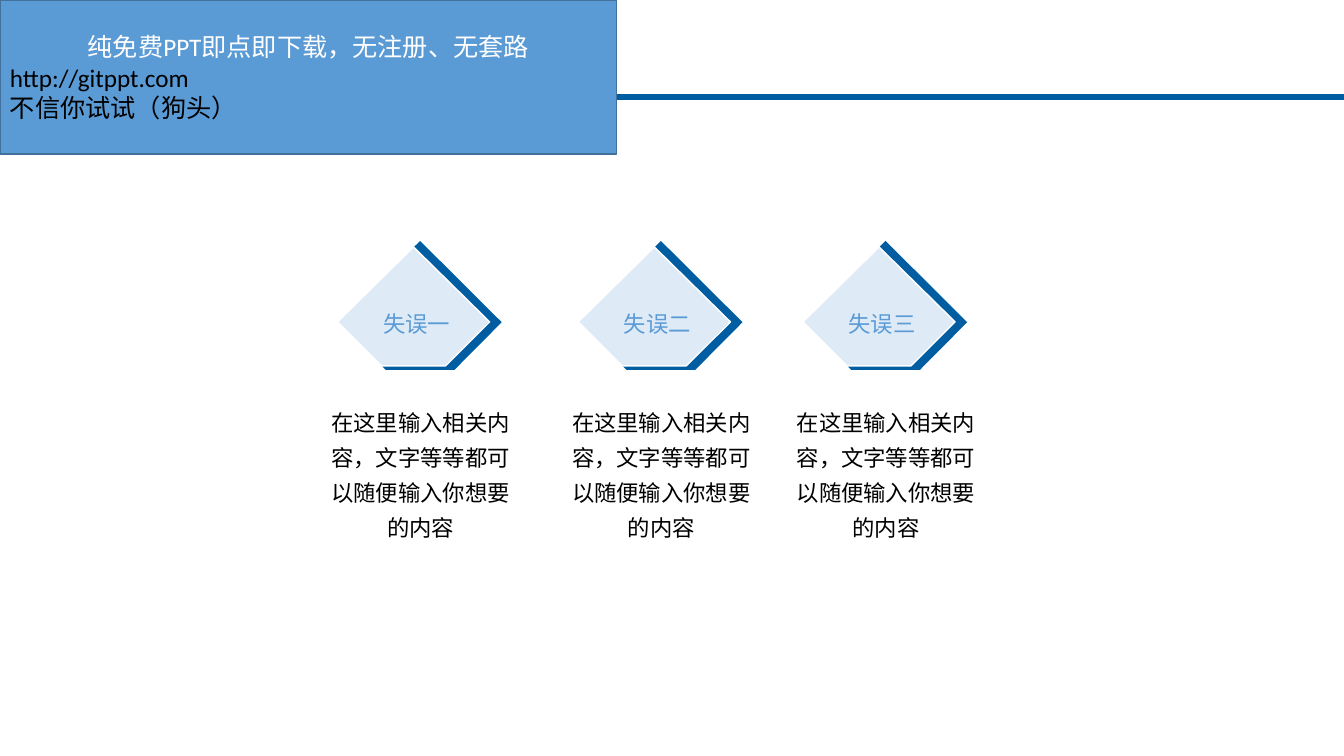
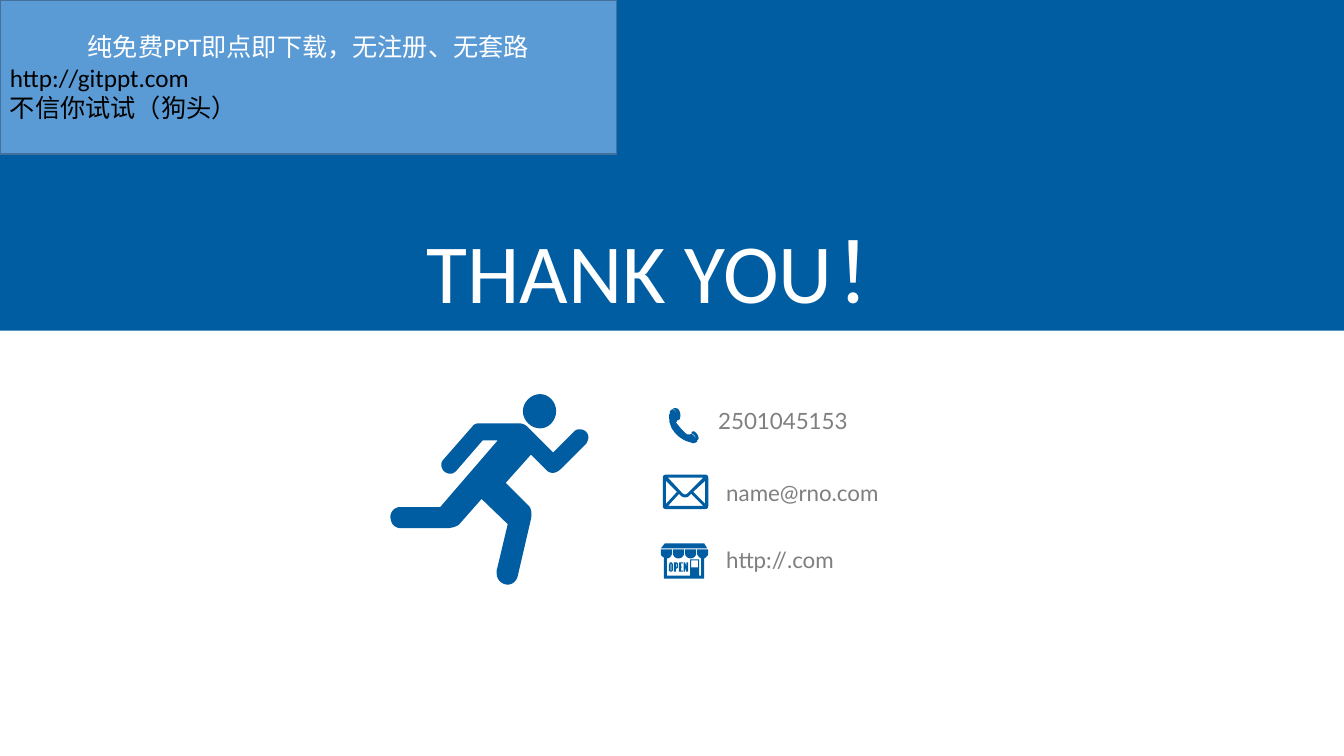
from lxml.etree import SubElement
from pptx import Presentation
from pptx.dml.color import RGBColor
from pptx.enum.shapes import MSO_CONNECTOR as Connector, MSO_SHAPE as Shape
from pptx.enum.text import MSO_ANCHOR as Anchor, MSO_AUTO_SIZE as AutoSize, PP_ALIGN as Align
from pptx.oxml.ns import qn
from pptx.util import Inches, Pt

WIDTH, HEIGHT = 13.34, 7.5
BLUE, SKY, PALE, EDGE = "005DA2", "5B9BD5", "DEEBF7", "41719C"
WHITE, BLACK, GREY = "FFFFFF", "000000", "7F7F7F"
EAST_ASIAN_FONT = "Noto Sans CJK SC"

LABEL = {"name": EAST_ASIAN_FONT, "size": Pt(16), "color": SKY}
BODY = {"name": EAST_ASIAN_FONT, "size": Pt(16), "color": BLACK}
CONTACT = {"name": "Lato", "size": Pt(16), "color": GREY}
CLOSING = {"name": "Calibri", "size": Pt(60), "color": WHITE, "bold": False}
PANEL_HEAD = {"name": "Calibri", "size": Pt(18), "color": WHITE}
PANEL_TEXT = {**PANEL_HEAD, "color": BLACK}

PANEL_LINES = [
    ("纯免费PPT即点即下载，无注册、无套路", PANEL_HEAD, Align.CENTER),
    ("http://gitppt.com", PANEL_TEXT, Align.LEFT),
    ("不信你试试（狗头）", PANEL_TEXT, Align.LEFT),
]
MISTAKES = [(3.19, "失误一"), (5.58, "失误二"), (7.81, "失误三")]
ADVICE = "在这里输入相关内容，文字等等都可以随便输入你想要的内容"

# In each contour a pair is a corner and six numbers are a cubic curve.
PENTAGON = [[(50, 0), (100, 63), (71, 100), (29, 100), (0, 63)]]
RUNNER = [
    [(88, 29), (128, 29), (131, 29, 134, 30, 136, 32), (162, 58), (183, 37),
     (185, 35, 186, 35, 189, 35), (193, 35, 197, 38, 197, 43), (197, 45, 196, 47, 195, 49),
     (170, 74), (162, 82, 156, 76, 156, 76), (140, 60), (115, 88), (138, 111),
     (138, 111, 142, 115, 140, 124), (127, 180), (126, 185, 122, 189, 117, 189),
     (111, 189, 106, 184, 106, 178), (106, 175), (117, 129), (91, 104), (69, 129),
     (69, 129, 65, 133, 56, 133), (11, 133), (6, 133, 2, 130, 1, 125),
     (-1, 119, 3, 113, 9, 112), (50, 112), (107, 46), (92, 46), (66, 76),
     (64, 78, 62, 79, 60, 79), (55, 79, 51, 75, 51, 70), (51, 68, 52, 66, 54, 64),
     (82, 32), (83, 30, 86, 29, 88, 29)],
    [(149, 0), (158, 0, 165, 8, 165, 17), (165, 26, 158, 34, 149, 34),
     (140, 34, 132, 26, 132, 17), (132, 8, 140, 0, 149, 0)],
]
PHONE = [
    [(25, 23), (27, 24, 29, 27, 29, 28), (30, 30, 29, 31, 28, 32), (28, 31, 27, 30, 26, 28),
     (25, 26, 23, 25, 22, 25), (23, 24, 22, 23, 25, 23)],
    [(4, 1), (5, 1, 7, 4, 8, 8), (8, 9, 8, 11, 8, 13), (7, 14), (8, 16, 15, 24, 18, 26),
     (19, 26, 20, 26, 21, 26), (22, 25, 24, 26, 26, 29), (27, 30, 28, 32, 28, 33),
     (26, 35, 23, 35, 22, 34), (19, 34, -1, 27, 0, 7), (1, 5, 1, 4, 1, 3), (2, 2, 3, 1, 4, 1)],
    [(7, 0), (11, 0, 12, 8, 11, 9), (11, 11, 10, 12, 8, 12), (9, 11, 8, 9, 8, 7),
     (7, 4, 6, 1, 4, 0)],
]
ENVELOPE = [
    [(45, 31), (45, 33, 44, 34, 42, 34), (3, 34), (1, 34, 0, 33, 0, 31), (0, 3),
     (0, 1, 1, 0, 3, 0), (42, 0), (44, 0, 45, 1, 45, 3)],
    [(14, 17), (3, 6), (3, 29)],
    [(40, 3), (5, 3), (19, 18), (21, 20, 23, 20, 25, 18)],
    [(40, 31), (28, 19), (26, 21), (24, 23, 20, 23, 18, 21), (16, 19), (5, 31)],
    [(42, 29), (42, 6), (30, 17)],
]
AWNINGS = [
    [(x + 11, 6), (x, 6), (x, 10), (x, 13, x + 3, 15, x + 5.5, 15), (x + 8, 15, x + 11, 13, x + 11, 10)]
    for x in (12, 24)
]
OPEN_SIGN = [
    [(8, 21), (9, 19), (11, 19), (12, 21), (12, 27), (11, 28), (9, 28), (8, 27)],
    [(9.7, 20.5), (10.4, 20.5), (10.4, 27), (9.7, 27)],
    [(13, 19), (16, 19), (17, 20), (17, 24), (16, 25), (15, 25), (15, 28), (13, 28)],
    [(15, 20.5), (15.6, 20.5), (15.6, 23.5), (15, 23.5)],
    [(18, 19), (22, 19), (22, 20), (20, 20), (20, 23), (21, 23), (21, 24), (20, 24),
     (20, 27), (22, 27), (22, 28), (18, 28)],
    [(22.5, 19), (24, 19), (25.3, 23), (25.3, 19), (27, 19), (27, 28), (25.3, 28),
     (24, 23), (24, 28), (22.5, 28)],
]
SHOP = [
    [(0, 5), (46, 5), (43, 0), (4, 0)],
    [(11, 6), (11, 10), (11, 12, 9, 15, 6, 15), (6, 32), (29, 32), (29, 16), (38, 16), (38, 32),
     (40, 32), (40, 15), (38, 14, 36, 12, 36, 10), (36, 6), (47, 6), (47, 10),
     (47, 12, 45, 14, 43, 15), (43, 35), (3, 35), (3, 14), (1, 13, 0, 12, 0, 10), (0, 6)],
    [(37, 24), (37, 17), (30, 17), (30, 24)],
    *AWNINGS, *OPEN_SIGN,
]
CONTACTS = [
    ("2501045153", (7.03, 3.93), PHONE, (6.64, 4.05), (29, 35)),
    ("name@rno.com", (7.11, 4.64), ENVELOPE, (6.58, 4.71), (45, 34)),
    ("http://.com", (7.11, 5.31), SHOP, (6.56, 5.39), (47, 35)),
]


def rgb(value):
    """Turn a hex string into a colour."""
    return RGBColor.from_string(value)


def paint(shape, fill, line=None):
    """Give a shape a flat fill and an optional one-point line."""
    shape.shadow.inherit = False
    shape.fill.solid()
    shape.fill.fore_color.rgb = rgb(fill)
    if line:
        shape.line.color.rgb = rgb(line)
        shape.line.width = Pt(1)
    else:
        shape.line.fill.background()
    return shape


def write(shape, lines, anchor=Anchor.MIDDLE, spacing=1.0, insets=(0.1, 0.05, 0.1, 0.05)):
    """Put lines of text, style and alignment into a shape, one paragraph each."""
    frame = shape.text_frame
    left, top, right, bottom = map(Inches, insets)
    settings = {"word_wrap": True, "auto_size": AutoSize.NONE, "vertical_anchor": anchor,
                "margin_left": left, "margin_top": top, "margin_right": right, "margin_bottom": bottom}
    for name, value in settings.items():
        setattr(frame, name, value)
    for index, (text, style, align) in enumerate(lines):
        paragraph = frame.add_paragraph() if index else frame.paragraphs[0]
        paragraph.alignment, paragraph.line_spacing = align, spacing
        run = paragraph.add_run()
        run.text = text
        for name, value in style.items():
            if name == "color":
                run.font.color.rgb = rgb(value)
            else:
                setattr(run.font, name, value)
        SubElement(run._r.get_or_add_rPr(), qn("a:ea"), typeface=EAST_ASIAN_FONT)


def flatten(contour, steps=8):
    """Return the corners of a contour with its curves cut into short lines."""
    points = []
    for node in contour:
        if len(node) == 2:
            points.append(node)
            continue
        controls = [points[-1], node[:2], node[2:4], node[4:]]
        for step in range(1, steps + 1):
            t = step / steps
            weights = ((1 - t) ** 3, 3 * t * (1 - t) ** 2, 3 * t * t * (1 - t), t ** 3)
            points.append(tuple(sum(w * c[axis] for w, c in zip(weights, controls)) for axis in (0, 1)))
    return points


def add_outline(shapes, box, contours, grid, fill, line=None):
    """Draw contours, given in grid units, stretched over a box."""
    left, top, width, height = map(Inches, box)
    columns, rows = grid
    builder = None
    for contour in contours:
        points = [(x * width / columns, y * height / rows) for x, y in flatten(contour)]
        if builder is None:
            builder = shapes.build_freeform(*points[0])
        else:
            builder.move_to(*points[0])
        builder.add_line_segments(points[1:], close=True)
    return paint(builder.convert_to_shape(left, top), fill, line)


def add_band(slide, width, height, fill, line=None):
    """Add a rectangle that starts at the top left corner of the slide."""
    return paint(slide.shapes.add_shape(Shape.RECTANGLE, 0, 0, Inches(width), Inches(height)), fill, line)


def add_corner_panel(slide):
    """Add the corner panel shared by the slides."""
    write(add_band(slide, 6.12, 1.53, SKY, EDGE), PANEL_LINES)


def add_header_rule(slide, y):
    """Draw the thick rule across the slide."""
    rule = slide.shapes.add_connector(Connector.STRAIGHT, 0, Inches(y), Inches(WIDTH), Inches(y))
    rule.line.color.rgb = rgb(BLUE)
    rule.line.width = Pt(4)
    SubElement(rule._element.spPr, qn("a:effectLst"))


def add_mistake(slide, left, top, label):
    """Add a badge with its label and the advice below it."""
    shapes = slide.shapes.add_group_shape().shapes
    add_outline(shapes, (left + 0.17, top, 1.62, 1.28), PENTAGON, (100, 100), BLUE)
    badge = add_outline(shapes, (left + 0.16, top + 0.06, 1.51, 1.18), PENTAGON, (100, 100), PALE, WHITE)
    write(badge, [(label, LABEL, Align.CENTER)], insets=(0.16, 0.39, 0.1, 0.05))
    advice = shapes.add_textbox(*map(Inches, (left, top + 1.54, 1.97, 1.95)))
    write(advice, [(ADVICE, BODY, Align.CENTER)], Anchor.TOP, 1.3)


def add_contact(slide, text, text_at, icon, icon_at, grid):
    """Add a contact line and its icon."""
    text_box = slide.shapes.add_textbox(*map(Inches, (*text_at, 3.15, 0.49)))
    write(text_box, [(text, CONTACT, Align.LEFT)])
    size = [units / 100 for units in grid]
    add_outline(slide.shapes, (*icon_at, *size), icon, grid, BLUE)


def build_mistakes(presentation):
    """Build the slide with three mistakes."""
    slide = presentation.slides.add_slide(presentation.slide_layouts[6])
    add_header_rule(slide, 0.96)
    for left, label in MISTAKES:
        add_mistake(slide, left, 2.39, label)
    add_corner_panel(slide)


def build_closing(presentation):
    """Build the closing slide with the contacts."""
    slide = presentation.slides.add_slide(presentation.slide_layouts[5])
    title = slide.shapes.title
    title.element.addprevious(add_band(slide, WIDTH, 3.28, BLUE).element)
    box = {"left": 3.08, "top": 2.12, "width": 7.17, "height": 1.11}
    for name, value in box.items():
        setattr(title, name, Inches(value))
    write(title, [("THANK YOU！", CLOSING, Align.CENTER)])
    for contact in CONTACTS:
        add_contact(slide, *contact)
    add_outline(slide.shapes, (3.87, 3.91, 1.97, 1.89), RUNNER, (197, 189), BLUE)
    add_corner_panel(slide)


def main():
    """Build and save the presentation."""
    presentation = Presentation()
    presentation.slide_width, presentation.slide_height = Inches(WIDTH), Inches(HEIGHT)
    build_mistakes(presentation)
    build_closing(presentation)
    presentation.save("out.pptx")


if __name__ == "__main__":
    main()
